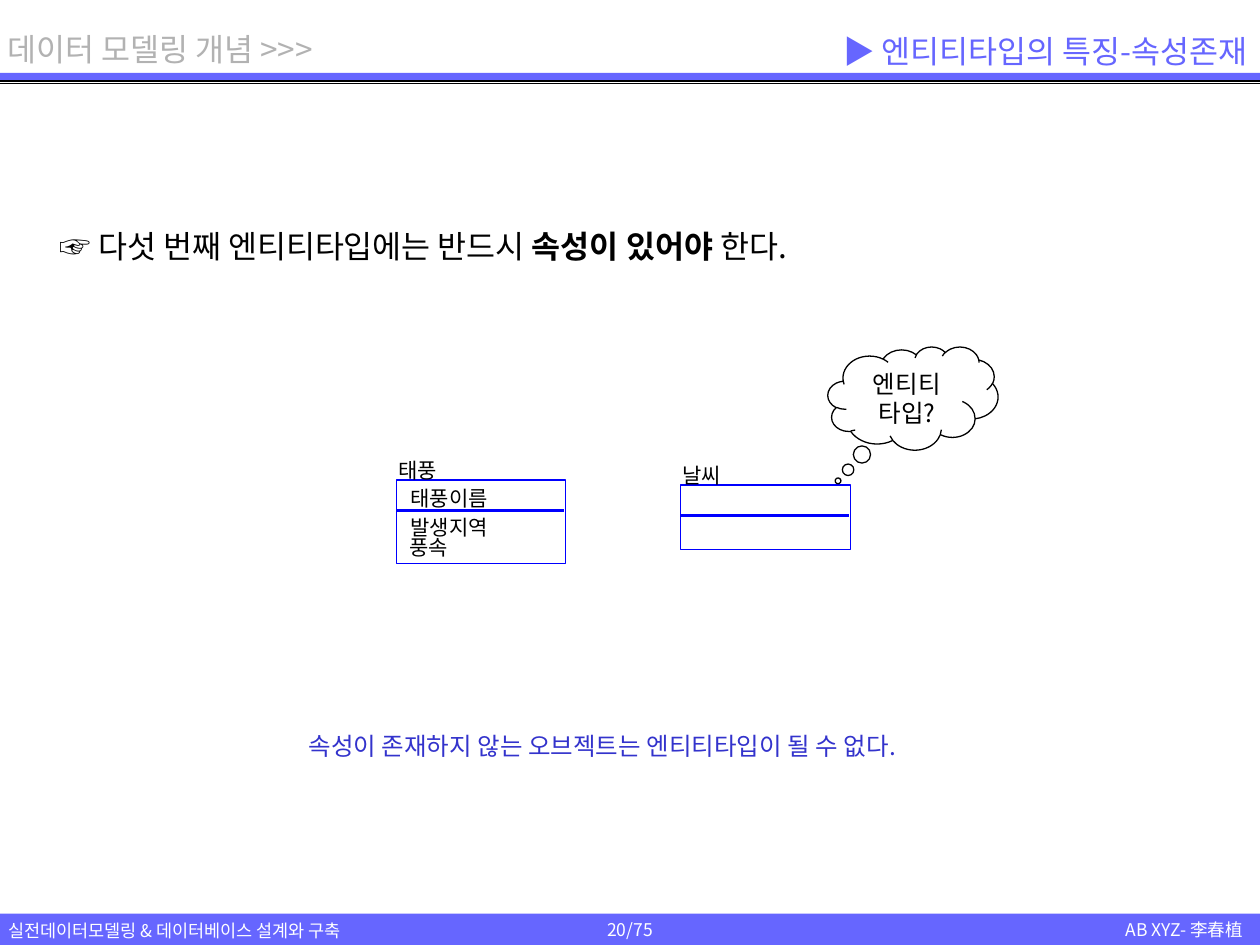
from pptx import Presentation
from pptx.dml.color import RGBColor
from pptx.enum.shapes import MSO_CONNECTOR as LINE, MSO_SHAPE as SHAPE
from pptx.enum.text import MSO_ANCHOR as ANCHOR, MSO_AUTO_SIZE as FIT, PP_ALIGN as ALIGN
from pptx.oxml.ns import qn
from pptx.util import Cm, Pt
from lxml.etree import SubElement

VIOLET = RGBColor(0x66, 0x66, 0xFF)
BLUE = RGBColor(0x00, 0x00, 0xFF)
INDIGO = RGBColor(0x33, 0x33, 0xCC)
GRAY = RGBColor(0xB2, 0xB2, 0xB2)
BLACK = RGBColor(0, 0, 0)
WHITE = RGBColor(0xFF, 0xFF, 0xFF)
FONT = "Noto Sans CJK KR"
WIDTH, HEIGHT = 25.4, 19.05
PADDING = (0.25, 0.13)

TITLE = "▶ 엔티티타입의 특징-속성존재"
CHAPTER = "데이터 모델링 개념 >>>"
COURSE = "실전데이터모델링 & 데이터베이스 설계와 구축"
AUTHOR = "AB XYZ- 李春植"
PAGE = "20/75"
STATEMENT = [("☞ 다섯 번째 엔티티타입에는 반드시 ", False), ("속성이 있어야", True), (" 한다.", False)]
QUESTION = "엔티티타입?"
CONCLUSION = "속성이 존재하지 않는 오브젝트는 엔티티타입이 될 수 없다."
ENTITIES = [
    {"name": "태풍", "box": (8, 9.68, 3.4, 1.68),
     "attributes": [("태풍이름", 0.28, 0.1), ("발생지역", 0.28, 0.69), ("풍속", 0.25, 1.09)]},
    {"name": "날씨", "box": (13.72, 9.78, 3.43, 1.3), "attributes": []},
]
HEADER_RULES = (1.63, 1.65, 1.68)
DIVIDER_DROP, NAME_RISE = 0.61, 0.46
CHAR_WIDTH, LABEL_HEIGHT = 0.39, 0.5


def apply(target, values):
    for attribute, value in values.items():
        setattr(target, attribute, value)


def write(shape, runs, size, color, align=ALIGN.LEFT, anchor=ANCHOR.TOP, wrap=False, padding=PADDING):
    frame = shape.text_frame
    across, down = map(Cm, padding)
    apply(frame, {"auto_size": FIT.NONE, "word_wrap": wrap, "vertical_anchor": anchor,
                  "margin_left": across, "margin_right": across,
                  "margin_top": down, "margin_bottom": down})
    paragraph = frame.paragraphs[0]
    paragraph.alignment = align
    for text, bold in [(runs, False)] if isinstance(runs, str) else runs:
        run = paragraph.add_run()
        run.text = text
        apply(run.font, {"size": Pt(size), "bold": bold, "name": FONT})
        run.font.color.rgb = color
        SubElement(run.font._element, qn("a:ea"), typeface=FONT)


def add_text(slide, box, runs, size, color, **layout):
    write(slide.shapes.add_textbox(*map(Cm, box)), runs, size, color, **layout)


def add_shape(slide, kind, box, fill, line=None, weight=0):
    shape = slide.shapes.add_shape(kind, *map(Cm, box))
    shape.shadow.inherit = False
    shape.fill.solid()
    shape.fill.fore_color.rgb = fill
    if line is None:
        shape.line.fill.background()
    else:
        shape.line.color.rgb = line
        shape.line.width = Pt(weight)
    return shape


def add_rule(slide, left, top, width, color, weight):
    rule = slide.shapes.add_connector(LINE.STRAIGHT, *map(Cm, (left, top, left + width, top)))
    rule.line.color.rgb = color
    rule.line.width = Pt(weight)
    SubElement(rule._element.spPr, qn("a:effectLst"))


def add_label(slide, left, top, text):
    add_text(slide, (left, top, len(text) * CHAR_WIDTH, LABEL_HEIGHT), text, 12, BLACK, padding=(0, 0))


def add_entity(slide, entity):
    left, top, width, height = entity["box"]
    add_shape(slide, SHAPE.RECTANGLE, entity["box"], WHITE, BLUE)
    add_label(slide, left + 0.03, top - NAME_RISE, entity["name"])
    add_rule(slide, left, top + DIVIDER_DROP, width - 0.03, BLUE, 0)
    for attribute, indent, drop in entity["attributes"]:
        add_label(slide, left + indent, top + drop, attribute)


def main():
    deck = Presentation()
    apply(deck, {"slide_width": Cm(WIDTH), "slide_height": Cm(HEIGHT)})
    slide = deck.slides.add_slide(deck.slide_layouts[5])

    footer = add_shape(slide, SHAPE.RECTANGLE, (0, 18.42, WIDTH, 0.63), VIOLET)
    write(footer, PAGE, 10, WHITE, align=ALIGN.CENTER, anchor=ANCHOR.MIDDLE)
    add_shape(slide, SHAPE.RECTANGLE, (0, 1.47, WIDTH, 0.15), VIOLET)
    for top in HEADER_RULES:
        add_rule(slide, 0, top, WIDTH, BLACK, 0.75)
    add_text(slide, (-0.08, 18.42, 7.95, 0.69), COURSE, 10, WHITE)
    add_text(slide, (21.92, 18.39, 3.38, 0.69), AUTHOR, 10, WHITE, align=ALIGN.RIGHT, wrap=True)
    add_text(slide, (-0.1, 0.48, 7.11, 1.02), CHAPTER, 18, GRAY)

    title = slide.shapes.title
    apply(title, dict(zip(("left", "top", "width", "height"), map(Cm, (12.7, 0.48, 12.7, 1.09)))))
    write(title, TITLE, 18, VIOLET, align=ALIGN.RIGHT, anchor=ANCHOR.MIDDLE, wrap=True)

    statement = add_shape(slide, SHAPE.RECTANGLE, (0.95, 4.45, 23.5, 1.02), WHITE)
    write(statement, STATEMENT, 18, BLACK, wrap=True)
    for entity in ENTITIES:
        add_entity(slide, entity)

    cloud = add_shape(slide, SHAPE.CLOUD_CALLOUT, (16.69, 6.99, 3.43, 2.08), WHITE, BLACK, 0.75)
    cloud.adjustments[0], cloud.adjustments[1] = -0.44, 0.8
    write(cloud, QUESTION, 14, BLACK, align=ALIGN.CENTER, wrap=True)
    add_text(slide, (5.97, 14.6, 13.54, 0.86), CONCLUSION, 14, INDIGO)

    deck.save("out.pptx")


if __name__ == "__main__":
    main()
